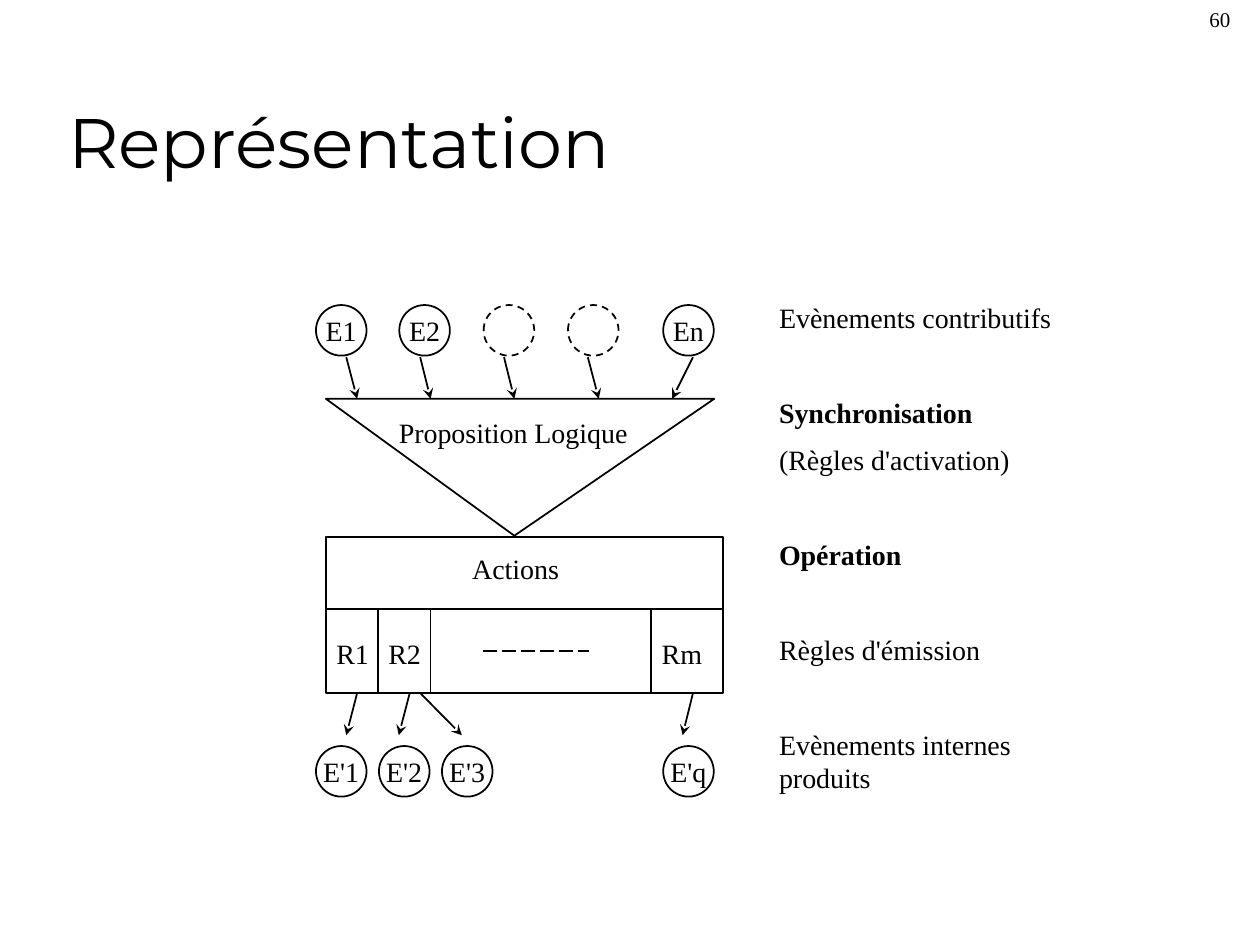
from dataclasses import dataclass

from lxml import etree
from pptx import Presentation
from pptx.dml.color import RGBColor
from pptx.enum.dml import MSO_LINE
from pptx.enum.shapes import MSO_CONNECTOR, MSO_SHAPE
from pptx.enum.text import MSO_ANCHOR, MSO_AUTO_SIZE, PP_ALIGN
from pptx.oxml.ns import qn
from pptx.util import Cm, Pt

OVAL = MSO_SHAPE.OVAL
RECTANGLE = MSO_SHAPE.RECTANGLE
STRAIGHT = MSO_CONNECTOR.STRAIGHT
DASH = MSO_LINE.DASH
LONG_DASH = MSO_LINE.LONG_DASH
LEFT = PP_ALIGN.LEFT
CENTER = PP_ALIGN.CENTER
TOP = MSO_ANCHOR.TOP
MIDDLE = MSO_ANCHOR.MIDDLE
BOTTOM = MSO_ANCHOR.BOTTOM
NO_AUTOFIT = MSO_AUTO_SIZE.NONE


@dataclass(frozen=True)
class Theme:
    ink: RGBColor = RGBColor(0, 0, 0)
    title_font: str = "Montserrat"
    text_font: str = "Times New Roman"
    title_size: int = 40
    text_size: int = 16
    number_size: int = 12
    line_width: int = 1


@dataclass(frozen=True)
class Event:
    left: float
    top: float
    label: str = ""


@dataclass(frozen=True)
class Label:
    left: float
    top: float
    width: float
    text: str
    size: int


@dataclass(frozen=True)
class Segment:
    x1: float
    y1: float
    x2: float
    y2: float
    arrow: bool = False
    dash: MSO_LINE | None = None


@dataclass(frozen=True)
class Caption:
    text: str
    bold: bool = False
    space_before: float = 0


THEME = Theme()
DIAMETER = 1.02
LABEL_HEIGHT = 0.94
EVENTS_TOP, RESULTS_TOP = 6.15, 15.04
EVENT_BOTTOM, TRIANGLE_TOP = 7.2, 8.04
BLOCK_LEFT, BLOCK_TOP, BLOCK_WIDTH, BLOCK_HEIGHT = 6.57, 10.82, 8, 3.15
BLOCK_RIGHT, BLOCK_BOTTOM = BLOCK_LEFT + BLOCK_WIDTH, BLOCK_TOP + BLOCK_HEIGHT
RULES_TOP, RULE_LABEL_TOP = 12.27, 12.7
ARROW_END = 14.82
GAP, WIDE_GAP = 8, 35

EVENTS = [
    Event(left, EVENTS_TOP, label)
    for left, label in [(6.37, "E1"), (8.05, "E2"), (9.75, ""), (11.45, ""), (13.37, "En")]
] + [
    Event(left, RESULTS_TOP, label)
    for left, label in [(6.37, "E'1"), (7.64, "E'2"), (8.91, "E'3"), (13.37, "E'q")]
]
SEGMENTS = [
    Segment(start, EVENT_BOTTOM, end, TRIANGLE_TOP, arrow=True)
    for start, end in [(6.98, 7.2), (8.47, 8.68), (10.16, 10.37), (11.85, 12.07), (13.97, 13.55)]
] + [
    Segment(start, BLOCK_BOTTOM, end, ARROW_END, arrow=True)
    for start, end in [(7.2, 6.98), (8.26, 8.04), (8.47, 9.31), (13.97, 13.76)]
] + [
    Segment(x, RULES_TOP, x, BLOCK_BOTTOM) for x in (7.62, 8.68, 13.13)
] + [
    Segment(BLOCK_LEFT, RULES_TOP, BLOCK_RIGHT, RULES_TOP),
    Segment(9.73, 13.12, 11.87, 13.12, dash=LONG_DASH),
]
LABELS = [
    Label(7.79, 8.26, 5.13, "Proposition Logique", THEME.text_size),
    Label(9.27, 11, 2.27, "Actions", THEME.text_size),
    Label(6.53, RULE_LABEL_TOP, 1.17, "R1", THEME.text_size),
    Label(7.58, RULE_LABEL_TOP, 1.17, "R2", THEME.text_size),
    Label(13.09, RULE_LABEL_TOP, 1.32, "Rm", THEME.text_size),
    Label(24.13, 0, 1.27, "60", THEME.number_size),
]
CAPTIONS = [
    Caption("Evènements contributifs"),
    Caption("Synchronisation", True, WIDE_GAP),
    Caption("(Règles d'activation)", False, GAP),
    Caption("Opération", True, WIDE_GAP),
    Caption("Règles d'émission", False, WIDE_GAP),
    Caption("Evènements internes produits", False, WIDE_GAP),
]


def add_span(para, text: str, size: int, font: str = THEME.text_font, bold: bool = False) -> None:
    span = para.add_run()
    span.text = text
    span.font.name = font
    span.font.size = Pt(size)
    span.font.bold = bold
    span.font.color.rgb = THEME.ink


def place(box, left: float, top: float, width: float, height: float) -> None:
    box.left, box.top, box.width, box.height = Cm(left), Cm(top), Cm(width), Cm(height)


def outline(shape) -> None:
    shape.shadow.inherit = False
    shape.fill.background()
    shape.line.color.rgb = THEME.ink
    shape.line.width = Pt(THEME.line_width)


def add_title(page) -> None:
    box = page.shapes.title
    place(box, 1.12, 0.63, 21.6, 3.18)
    frame = box.text_frame
    frame.auto_size = NO_AUTOFIT
    frame.vertical_anchor = BOTTOM
    para = frame.paragraphs[0]
    para.alignment = LEFT
    add_span(para, "Représentation", THEME.title_size, THEME.title_font)


def add_captions(page) -> None:
    box = page.placeholders[1]
    place(box, 15.45, 5.93, 6.78, 12.82)
    frame = box.text_frame
    frame.auto_size = NO_AUTOFIT
    frame.vertical_anchor = TOP
    for index, caption in enumerate(CAPTIONS):
        para = frame.add_paragraph() if index else frame.paragraphs[0]
        properties = para._p.get_or_add_pPr()
        properties.set("marL", "0")
        properties.set("indent", "0")
        etree.SubElement(properties, qn("a:buNone"))
        para.space_before = Pt(caption.space_before)
        add_span(para, caption.text, THEME.text_size, bold=caption.bold)


def add_event(page, event: Event) -> None:
    circle = page.shapes.add_shape(
        OVAL, Cm(event.left), Cm(event.top), Cm(DIAMETER), Cm(DIAMETER))
    outline(circle)
    if not event.label:
        circle.line.dash_style = DASH
        return
    frame = circle.text_frame
    frame.word_wrap = False
    frame.vertical_anchor = MIDDLE
    para = frame.paragraphs[0]
    para.alignment = CENTER
    add_span(para, event.label, THEME.text_size)


def add_operation(page) -> None:
    builder = page.shapes.build_freeform(Cm(BLOCK_LEFT), Cm(TRIANGLE_TOP))
    builder.add_line_segments([(Cm(14.4), Cm(TRIANGLE_TOP)), (Cm(10.37), Cm(10.8))], close=True)
    outline(builder.convert_to_shape())
    outline(page.shapes.add_shape(
        RECTANGLE, Cm(BLOCK_LEFT), Cm(BLOCK_TOP), Cm(BLOCK_WIDTH), Cm(BLOCK_HEIGHT)))


def add_segment(page, segment: Segment) -> None:
    connector = page.shapes.add_connector(
        STRAIGHT, Cm(segment.x1), Cm(segment.y1), Cm(segment.x2), Cm(segment.y2))
    connector.line.color.rgb = THEME.ink
    connector.line.width = Pt(THEME.line_width)
    if segment.dash is not None:
        connector.line.dash_style = segment.dash
    if segment.arrow:
        etree.SubElement(connector.line._get_or_add_ln(), qn("a:tailEnd"), type="stealth")
    etree.SubElement(connector._element.spPr, qn("a:effectLst"))


def add_label(page, label: Label) -> None:
    box = page.shapes.add_textbox(
        Cm(label.left), Cm(label.top), Cm(label.width), Cm(LABEL_HEIGHT))
    box.text_frame.word_wrap = False
    add_span(box.text_frame.paragraphs[0], label.text, label.size)


def main() -> None:
    deck = Presentation()
    deck.slide_width, deck.slide_height = Cm(25.4), Cm(19.05)
    page = deck.slides.add_slide(deck.slide_layouts[1])
    add_title(page)
    add_captions(page)
    add_operation(page)
    for event in EVENTS:
        add_event(page, event)
    for segment in SEGMENTS:
        add_segment(page, segment)
    for label in LABELS:
        add_label(page, label)
    deck.save("out.pptx")


if __name__ == "__main__":
    main()
